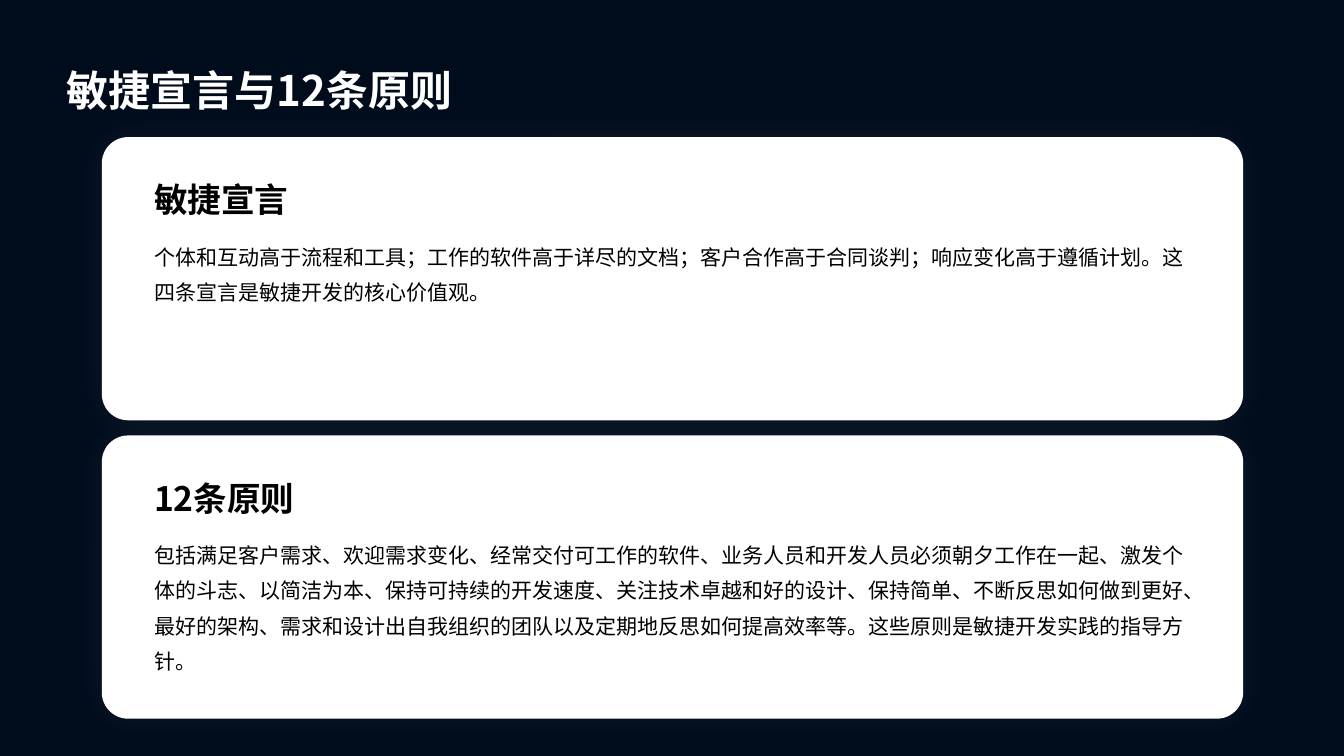
from dataclasses import dataclass

import pptx
import pptx.dml.color
import pptx.enum.shapes
import pptx.enum.text
import pptx.oxml
import pptx.oxml.ns
import pptx.util
from lxml import etree

Inches = pptx.util.Inches
Anchor = pptx.enum.text.MSO_ANCHOR


@dataclass(frozen=True)
class Theme:
    font: str = "Noto Sans CJK SC"
    background: str = "000C1C"
    card: str = "FFFFFF"
    title: str = "FFFFFF"
    ink: str = "000000"
    title_size: int = 30
    heading_size: int = 24
    body_size: int = 15
    line_spacing: float = 1.4


THEME = Theme()
SLIDE_WIDTH, SLIDE_HEIGHT = 13.33, 7.5
TITLE_BOX = (0.52, 0.29, 12.29, 1)
CARD_LEFT, CARD_TOP, CARD_WIDTH, CARD_HEIGHT = 1.01, 1.36, 11.32, 2.81
CARD_GAP = 0.15
CARD_PADDING = 0.42

CARDS = [
    ("敏捷宣言",
     "个体和互动高于流程和工具；工作的软件高于详尽的文档；客户合作高于合同谈判；"
     "响应变化高于遵循计划。这四条宣言是敏捷开发的核心价值观。"),
    ("12条原则",
     "包括满足客户需求、欢迎需求变化、经常交付可工作的软件、"
     "业务人员和开发人员必须朝夕工作在一起、激发个体的斗志、以简洁为本、"
     "保持可持续的开发速度、关注技术卓越和好的设计、保持简单、"
     "不断反思如何做到更好、最好的架构、需求和设计出自我组织的团队以及"
     "定期地反思如何提高效率等。这些原则是敏捷开发实践的指导方针。"),
]


def rgb(color):
    return pptx.dml.color.RGBColor.from_string(color)


def write_text(shape, text, size, color, bold=False, anchor=Anchor.TOP, line_spacing=1.0):
    frame = shape.text_frame
    frame.text = text
    frame.word_wrap = True
    frame.auto_size = pptx.enum.text.MSO_AUTO_SIZE.NONE
    frame.vertical_anchor = anchor
    paragraph = frame.paragraphs[0]
    paragraph.alignment = pptx.enum.text.PP_ALIGN.LEFT
    paragraph.line_spacing = line_spacing
    font = paragraph.font
    font.name, font.size, font.bold = THEME.font, pptx.util.Pt(size), bold
    font.color.rgb = rgb(color)
    # East Asian glyphs take their typeface from a separate element.
    properties = paragraph._p.pPr.find(pptx.oxml.ns.qn("a:defRPr"))
    etree.SubElement(properties, pptx.oxml.ns.qn("a:ea"), typeface=THEME.font)


def add_glow(shape, color):
    """Give the shape a soft, centred, nearly transparent shadow."""
    shape.shadow.inherit = False
    effects = shape._element.spPr.find(pptx.oxml.ns.qn("a:effectLst"))
    effects.append(pptx.oxml.parse_xml(
        f'<a:outerShdw {pptx.oxml.ns.nsdecls("a")} blurRad="{pptx.util.Pt(28.5)}" '
        f'dist="0" dir="0" algn="ctr" rotWithShape="0">'
        f'<a:srgbClr val="{color}"><a:alpha val="6000"/></a:srgbClr></a:outerShdw>'))


def place_title(slide, text, box):
    title = slide.shapes.title
    title.left, title.top, title.width, title.height = map(Inches, box)
    frame = title.text_frame
    frame.margin_left = frame.margin_top = frame.margin_bottom = Inches(0.14)
    frame.margin_right = Inches(0.06)
    write_text(title, text, THEME.title_size, THEME.title, bold=True,
               anchor=Anchor.MIDDLE, line_spacing=THEME.line_spacing)


def add_card(slide, heading, body, box):
    left, top, width, height = box
    card = slide.shapes.add_shape(
        pptx.enum.shapes.MSO_SHAPE.ROUNDED_RECTANGLE, *map(Inches, box))
    card.adjustments[0] = 0.093
    card.fill.solid()
    card.fill.fore_color.rgb = rgb(THEME.card)
    card.line.fill.background()
    add_glow(card, THEME.card)

    text_left, text_width = left + CARD_PADDING, width - 2 * CARD_PADDING
    heading_box = (text_left, top + 0.125 * height, text_width, 0.19 * height)
    body_box = (text_left, top + 0.325 * height, text_width, 0.555 * height)
    write_text(slide.shapes.add_textbox(*map(Inches, heading_box)), heading,
               THEME.heading_size, THEME.ink, bold=True, anchor=Anchor.MIDDLE)
    write_text(slide.shapes.add_textbox(*map(Inches, body_box)), body,
               THEME.body_size, THEME.ink, line_spacing=THEME.line_spacing)


def main():
    presentation = pptx.Presentation()
    presentation.slide_width = Inches(SLIDE_WIDTH)
    presentation.slide_height = Inches(SLIDE_HEIGHT)
    slide = presentation.slides.add_slide(presentation.slide_layouts.get_by_name("Title Only"))
    slide.background.fill.solid()
    slide.background.fill.fore_color.rgb = rgb(THEME.background)
    place_title(slide, "敏捷宣言与12条原则", TITLE_BOX)
    for row, (heading, body) in enumerate(CARDS):
        top = CARD_TOP + row * (CARD_HEIGHT + CARD_GAP)
        add_card(slide, heading, body, (CARD_LEFT, top, CARD_WIDTH, CARD_HEIGHT))
    presentation.save("out.pptx")


if __name__ == "__main__":
    main()
